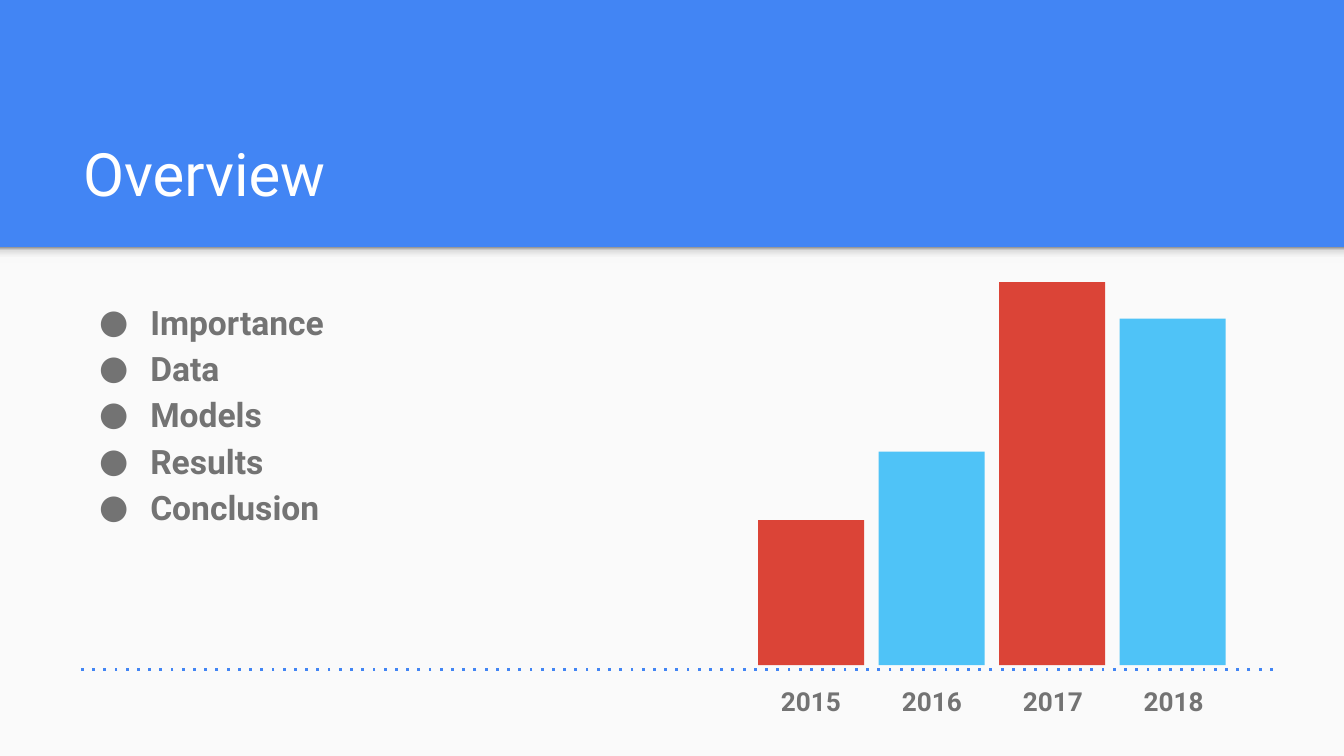
import lxml.etree
import pptx
import pptx.dml.color
import pptx.enum.dml
import pptx.enum.shapes
import pptx.enum.text
import pptx.oxml.ns
import pptx.util

Inches = pptx.util.Inches
Pt = pptx.util.Pt
RGBColor = pptx.dml.color.RGBColor
qn = pptx.oxml.ns.qn

BLUE = RGBColor(0x42, 0x85, 0xF4)
RED = RGBColor(0xDB, 0x44, 0x37)
SKY = RGBColor(0x4F, 0xC3, 0xF7)
GRAY = RGBColor(0x73, 0x73, 0x73)
PAPER = RGBColor(0xFA, 0xFA, 0xFA)
WHITE = RGBColor(0xFF, 0xFF, 0xFF)
SHADE_STOPS = [(0, "F9F9F9"), (36, "F9F9F9"), (80, "DEDEDE"), (100, "999999")]
NO_GRID_STYLE = "{2D5ABB26-0587-4C30-8999-92F81FD0307C}"

SLIDE_WIDTH = 10
SLIDE_HEIGHT = SLIDE_WIDTH * 9 / 16
TOPICS = ["Importance", "Data", "Models", "Results", "Conclusion"]
YEAR_BARS = [("2015", 1.08), ("2016", 1.59), ("2017", 2.85), ("2018", 2.58)]
BAR_FIRST, BAR_LAST, BAR_WIDTH, BAR_BASE = 5.64, 8.33, 0.79, 4.95
BAR_PITCH = (BAR_LAST - BAR_FIRST) / (len(YEAR_BARS) - 1)
BAND_BOTTOM, AXIS_TOP = 1.84, 4.98


def write(paragraph, text, size=18, color=GRAY, bold=False, spacing=None,
          bullet=None, font="Roboto"):
    if spacing:
        paragraph.line_spacing = spacing
    if bullet:
        properties = paragraph._p.get_or_add_pPr()
        properties.set("marL", str(Inches(0.5)))
        properties.set("indent", str(Inches(-0.38)))
        bullet_color = lxml.etree.SubElement(properties, qn("a:buClr"))
        lxml.etree.SubElement(bullet_color, qn("a:srgbClr")).set("val", str(color))
        lxml.etree.SubElement(properties, qn("a:buFont")).set("typeface", font)
        lxml.etree.SubElement(properties, qn("a:buChar")).set("char", bullet)
    run = paragraph.add_run()
    run.text = text
    run.font.name = font
    run.font.size = Pt(size)
    run.font.bold = bold
    run.font.color.rgb = color


class SlideBuilder:
    """Adds elements to one slide in a shared style."""

    margin = Inches(0.1)

    def __init__(self, slide, background):
        self.slide = slide
        slide.background.fill.solid()
        slide.background.fill.fore_color.rgb = background

    def rectangle(self, left, top, width, height, color):
        block = self.slide.shapes.add_shape(
            pptx.enum.shapes.MSO_SHAPE.RECTANGLE,
            Inches(left), Inches(top), Inches(width), Inches(height))
        block.shadow.inherit = False
        block.fill.solid()
        block.fill.fore_color.rgb = color
        block.line.fill.background()
        return block

    def shade(self, left, top, width, height, stops):
        """Add a strip whose gradient runs upwards through the stops."""
        strip = self.rectangle(left, top, width, height, PAPER)
        strip.fill.gradient()
        strip.fill.gradient_angle = 90
        stop_list = strip._element.spPr.find(".//" + qn("a:gsLst"))
        for old_stop in list(stop_list):
            stop_list.remove(old_stop)
        for percent, color in stops:
            stop = lxml.etree.SubElement(stop_list, qn("a:gs"))
            stop.set("pos", str(percent * 1000))
            lxml.etree.SubElement(stop, qn("a:srgbClr")).set("val", color)

    def text(self, left, top, width, height, lines,
             anchor=pptx.enum.text.MSO_ANCHOR.TOP, **style):
        frame = self.slide.shapes.add_textbox(
            Inches(left), Inches(top), Inches(width), Inches(height)).text_frame
        frame.word_wrap = True
        frame.vertical_anchor = anchor
        frame.margin_left = frame.margin_right = self.margin
        frame.margin_top = frame.margin_bottom = self.margin
        for index, line in enumerate(lines):
            paragraph = frame.add_paragraph() if index else frame.paragraphs[0]
            write(paragraph, line, **style)

    def label_row(self, left, top, column_width, height, labels, **style):
        """Add a one-row table without fills or borders."""
        frame = self.slide.shapes.add_table(
            1, len(labels), Inches(left), Inches(top),
            Inches(column_width * len(labels)), Inches(height))
        table = frame.table
        table.first_row = table.horz_banding = False
        table._tbl.tblPr.find(qn("a:tableStyleId")).text = NO_GRID_STYLE
        for cell, label in zip(table.rows[0].cells, labels):
            cell.fill.background()
            cell.margin_left = cell.margin_right = self.margin
            cell.margin_top = cell.margin_bottom = self.margin
            write(cell.text_frame.paragraphs[0], label, **style)

    def dotted_line(self, start, end, color, width):
        line = self.slide.shapes.add_connector(
            pptx.enum.shapes.MSO_CONNECTOR.STRAIGHT,
            *(Inches(value) for value in start + end))
        line.line.color.rgb = color
        line.line.width = Pt(width)
        line.line.dash_style = pptx.enum.dml.MSO_LINE.ROUND_DOT
        line._element.spPr.find(".//" + qn("a:prstDash")).set("val", "dot")
        lxml.etree.SubElement(line._element.spPr, qn("a:effectLst"))


def main():
    deck = pptx.Presentation()
    deck.slide_width = Inches(SLIDE_WIDTH)
    deck.slide_height = Inches(SLIDE_HEIGHT)
    builder = SlideBuilder(deck.slides.add_slide(deck.slide_layouts[6]), BLUE)

    builder.rectangle(0, BAND_BOTTOM, SLIDE_WIDTH, SLIDE_HEIGHT - BAND_BOTTOM,
                      PAPER)
    builder.shade(0, BAND_BOTTOM, SLIDE_WIDTH, 0.12, SHADE_STOPS)
    builder.text(0.52, 0.81, 8.99, 0.84, ["Overview"], size=32, color=WHITE,
                 anchor=pptx.enum.text.MSO_ANCHOR.BOTTOM)
    builder.text(0.52, 2.1, 4.37, 2.96, TOPICS, bold=True, spacing=1.15,
                 bullet="●")

    builder.label_row(5.71, AXIS_TOP, 0.9, 0.26,
                      [year for year, _ in YEAR_BARS],
                      size=14, bold=True, spacing=1.15)
    for index, (_, height) in enumerate(YEAR_BARS):
        builder.rectangle(BAR_FIRST + index * BAR_PITCH, BAR_BASE - height,
                          BAR_WIDTH, height, SKY if index % 2 else RED)
    builder.dotted_line((9.47, AXIS_TOP), (0.56, AXIS_TOP), BLUE, 1.5)

    deck.save("out.pptx")


if __name__ == "__main__":
    main()
